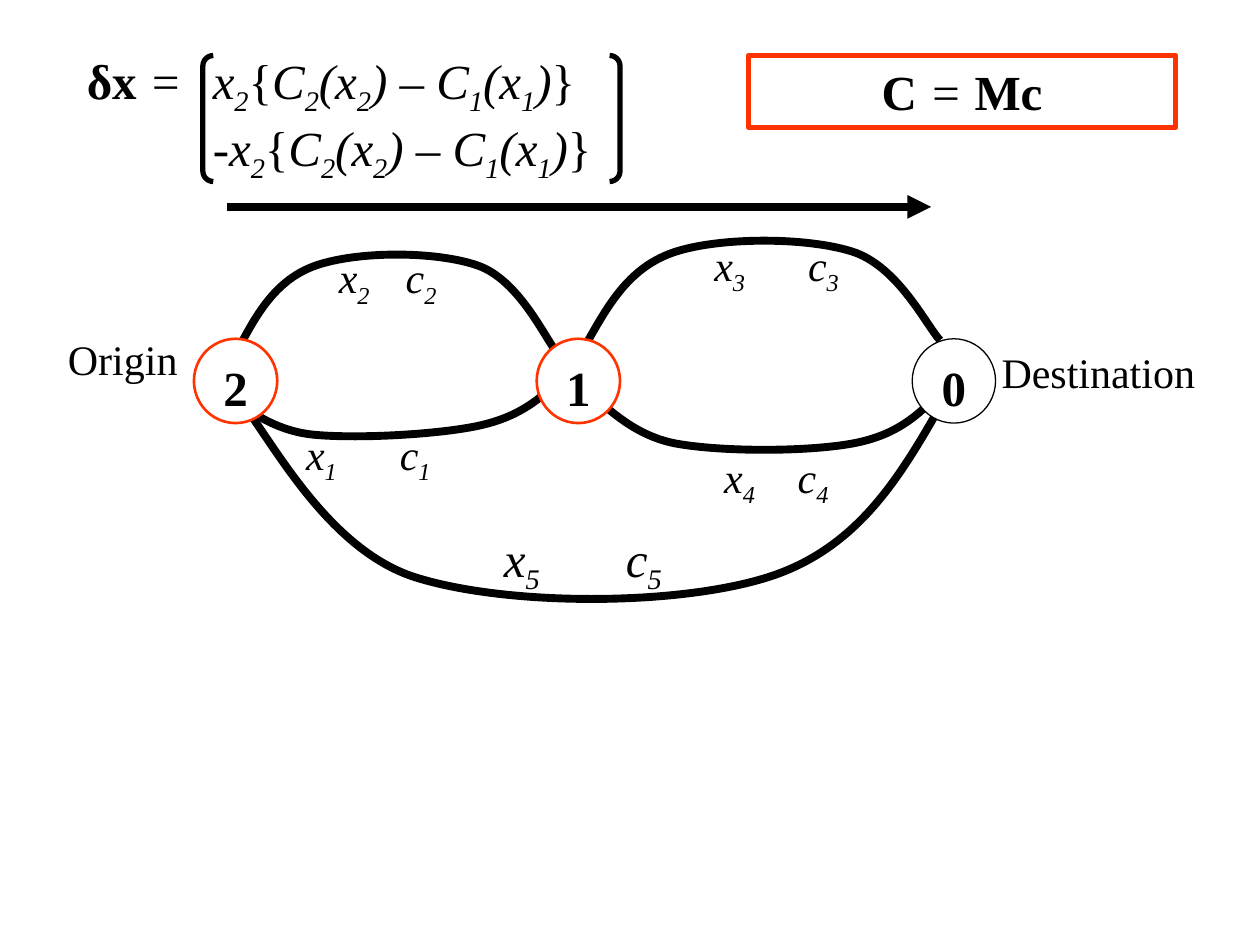
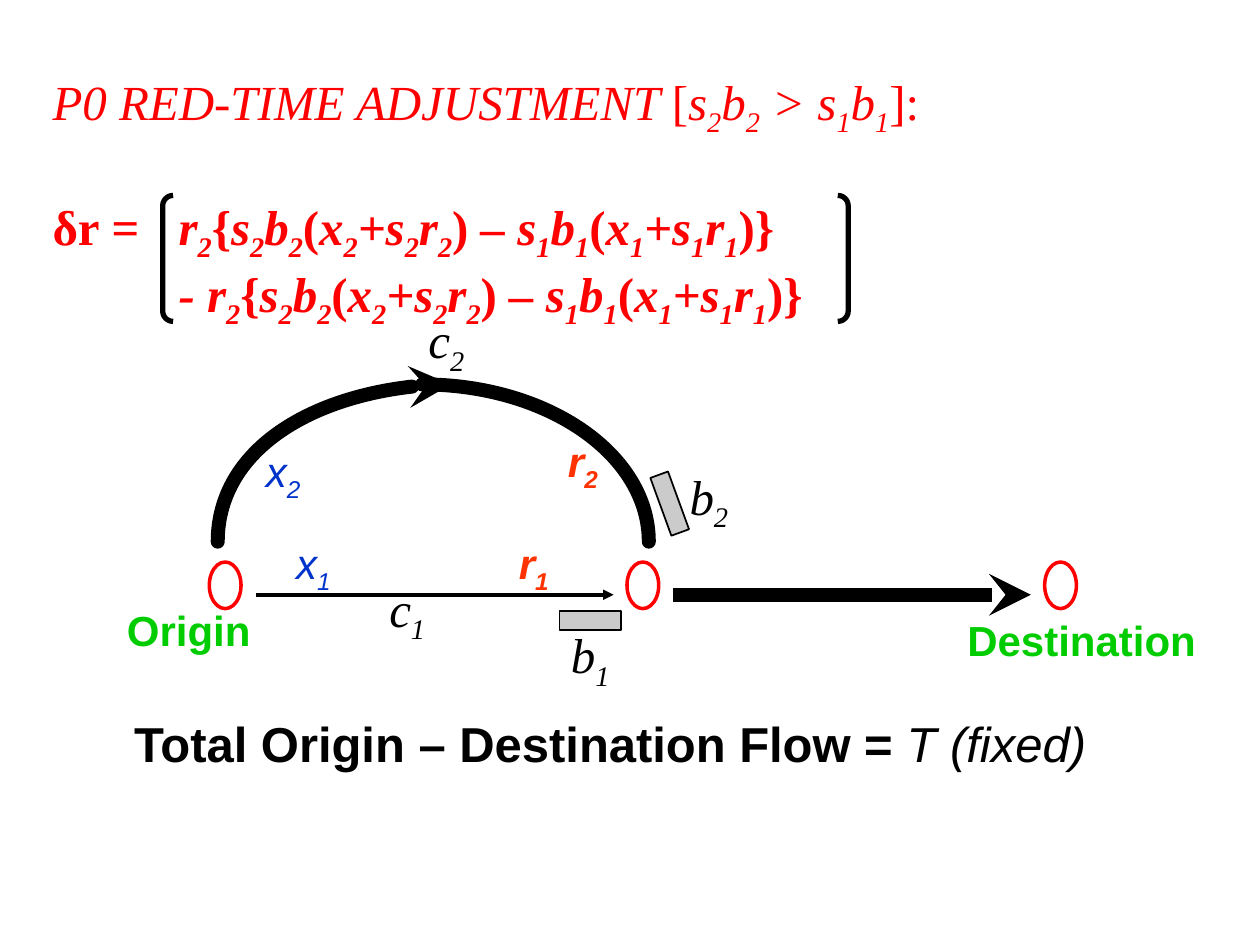
from lxml.etree import SubElement
from pptx import Presentation
from pptx.dml.color import RGBColor
from pptx.enum.shapes import MSO_CONNECTOR, MSO_SHAPE
from pptx.enum.text import MSO_ANCHOR, PP_ALIGN
from pptx.oxml.ns import qn
from pptx.util import Cm, Pt

BLACK = RGBColor(0x00, 0x00, 0x00)
WHITE = RGBColor(0xFF, 0xFF, 0xFF)
ORANGE = RGBColor(0xFF, 0x33, 0x00)
RED = RGBColor(0xFF, 0x00, 0x00)
GREEN = RGBColor(0x00, 0xCC, 0x00)
BLUE = RGBColor(0x00, 0x33, 0xCC)
GREY = RGBColor(0xCB, 0xCB, 0xCB)
SERIF, SANS = "Times New Roman", "Arial"
ROUTE = [(0, 0), (0.06, 0.36), (0.12, 0.72), (0.25, 0.86), (0.38, 1),
         (0.62, 1), (0.75, 0.86), (0.88, 0.72), (0.96, 0.15), (1, 0)]


class Deck:
    """Draws network diagrams and formulas on the current slide, in centimetres."""

    def __init__(self):
        self.prs = Presentation()
        self.prs.slide_width, self.prs.slide_height = Cm(25.4), Cm(19.05)
        self.s = None

    def new_slide(self):
        self.s = self.prs.slides.add_slide(self.prs.slide_layouts[6])

    def set_text(self, tf, paragraphs, size=28, font=SERIF, color=BLACK, bold=False,
                 italic=False, align=PP_ALIGN.LEFT, tab=None, wrap=True):
        """Fills a frame; ^ toggles bold, * toggles italic, _ lowers one character."""
        tf.word_wrap, tf.vertical_anchor = wrap, MSO_ANCHOR.TOP
        for i, text in enumerate(paragraphs):
            p = tf.paragraphs[0] if i == 0 else tf.add_paragraph()
            p.alignment = align
            if tab:
                tabs = SubElement(p._p.get_or_add_pPr(), qn("a:tabLst"))
                SubElement(tabs, qn("a:tab"), pos=str(Cm(tab)), algn="l")
            f = p.font
            f.name, f.size, f.bold, f.italic = font, Pt(size), bold, italic
            f.color.rgb = color
            for j, weight in enumerate(text.split("^")):
                for k, slant in enumerate(weight.split("*")):
                    flips = (j % 2 == 1, k % 2 == 1)
                    first, *lowered = slant.split("_")
                    self.add_run(p, first, flips, bold, italic)
                    for part in lowered:
                        self.add_run(p, part[0], flips, bold, italic, True)
                        self.add_run(p, part[1:], flips, bold, italic)
        return tf.paragraphs

    def add_run(self, p, text, flips, bold, italic, lowered=False):
        if not text:
            return
        r = p.add_run()
        r.text = text
        if flips[0]:
            r.font.bold = not bold
        if flips[1]:
            r.font.italic = not italic
        if lowered:
            r._r.get_or_add_rPr().set("baseline", "-25000")

    def text(self, x, y, w, h, *paragraphs, **style):
        sp = self.s.shapes.add_textbox(Cm(x), Cm(y), Cm(w), Cm(h))
        return self.set_text(sp.text_frame, paragraphs, **style)

    def stroke(self, sp, color, width, tail=None, cap=None):
        sp.line.color.rgb, sp.line.width = color, Pt(width)
        ln = sp.line._get_or_add_ln()
        if cap:
            ln.set("cap", cap)
        if tail:
            SubElement(ln, qn("a:tailEnd"), type=tail)

    def shape(self, kind, x, y, w, h, line, width, fill=None, label=None, rotation=0):
        sp = self.s.shapes.add_shape(kind, Cm(x), Cm(y), Cm(w), Cm(h))
        sp.shadow.inherit = False
        sp.rotation = rotation
        if fill is None:
            sp.fill.background()
        else:
            sp.fill.solid()
            sp.fill.fore_color.rgb = fill
        self.stroke(sp, line, width)
        if label:
            self.set_text(sp.text_frame, [label], align=PP_ALIGN.CENTER)
        return sp

    def brackets(self, left, right, y):
        for kind, x in ((MSO_SHAPE.LEFT_BRACKET, left), (MSO_SHAPE.RIGHT_BRACKET, right)):
            sp = self.shape(kind, x, y, 0.21, 2.54, BLACK, 3)
            sp.adjustments[0] = 1.0

    def arrow(self, x1, x2, y, width, tail):
        sp = self.s.shapes.add_connector(MSO_CONNECTOR.STRAIGHT, Cm(x1), Cm(y), Cm(x2), Cm(y))
        self.stroke(sp, BLACK, width, tail)
        SubElement(sp._element.spPr, qn("a:effectLst"))

    def curve(self, points, width, tail=None, cap=None):
        """Draws a Bézier chain: a start, then three points for each piece."""
        start, *rest = [(Cm(x), Cm(y)) for x, y in points]
        builder = self.s.shapes.build_freeform(*start)
        builder.add_line_segments(rest, close=False)
        sp = builder.convert_to_shape()
        outline = sp._element.find(".//" + qn("a:path"))
        segments = outline.findall(qn("a:lnTo"))
        for i in range(0, len(segments), 3):
            bezier = SubElement(outline, qn("a:cubicBezTo"))
            for segment in segments[i:i + 3]:
                bezier.append(segment[0])
                outline.remove(segment)
        sp.shadow.inherit = False
        sp.fill.background()
        self.stroke(sp, BLACK, width, tail, cap)

    def route(self, start, end, bulge):
        (x1, y1), (x2, y2) = start, end
        self.curve([(x1 + u * (x2 - x1), y1 + u * (y2 - y1) + v * bulge)
                    for u, v in ROUTE], 4.5)


def network_slide(d):
    d.new_slide()
    for start, end, bulge in (((4.75, 7.14), (11.25, 7.14), -2.08),
                              ((11.2, 7.75), (4.7, 8.08), 0.89),
                              ((18.95, 7.92), (11.86, 7.92), 1.19),
                              ((19.02, 8.08), (4.83, 8.08), 4.14),
                              ((11.86, 6.86), (18.95, 6.86), -2.08)):
        d.route(start, end, bulge)
    for n, x, y, w, h, tab, size in ((2, 6.58, 4.95, 4.72, 1.57, 1.35, 24),
                                     (1, 5.92, 8.51, 4.72, 1.57, 1.89, 24),
                                     (3, 14.15, 4.7, 4.72, 1.57, 1.89, 24),
                                     (4, 14.35, 8.97, 3.07, 1.57, 1.48, 24),
                                     (5, 9.91, 10.52, 5.79, 3.58, 2.46, 28)):
        d.text(x, y, w, h, f"x_{n}\tc_{n}", size=size, italic=True, tab=tab)
    d.arrow(4.57, 18.77, 4.17, 4.5, "triangle")
    for node, x, color, width in (("2", 3.91, ORANGE, 1.5), ("1", 10.82, ORANGE, 1.5),
                                  ("0", 18.39, BLACK, 0.75)):
        d.shape(MSO_SHAPE.OVAL, x, 6.83, 1.68, 1.7, color, width, WHITE, f"^{node}^")
    d.text(1.12, 6.6, 3.61, 2.36, "Origin", size=24)
    d.text(19.94, 6.86, 5.4, 1.45, "Destination", size=24)
    d.shape(MSO_SHAPE.RECTANGLE, 15.09, 1.12, 8.61, 1.45, ORANGE, 3, WHITE, "^C^* = *^Mc^")
    flow_swap = "x_2*{*C_2(x_2) – C_1(x_1)*}*"
    d.text(1.5, 0.89, 22.89, 2.95, "^*δx*^ = \t" + flow_swap, "\t-" + flow_swap,
           italic=True, tab=2.54)
    d.brackets(4.09, 12.29, 1.12)


def red_time_slide(d):
    d.new_slide()
    for i in range(3):
        d.shape(MSO_SHAPE.OVAL, 4.22 + 8.42 * i, 11.33, 0.64, 0.94, RED, 2)
    d.arrow(5.16, 12.37, 11.99, 2, "triangle")
    d.arrow(13.56, 20.78, 11.99, 8, "stealth")
    d.curve([(4.39, 10.92), (4.39, 9.17), (6.5, 7.75), (9.09, 7.75)], 8, "stealth", "rnd")
    d.curve([(8.51, 7.75), (11.05, 7.75), (13.08, 9.17), (13.08, 10.92)], 8, cap="rnd")
    for x, y, rotation in ((11.28, 12.32, 0), (12.88, 9.96, 250)):
        d.shape(MSO_SHAPE.RECTANGLE, x, y, 1.24, 0.38, BLACK, 1, GREY, rotation=rotation)
    for name, x, y, w in (("Origin", 2.31, 12.07, 3), ("Destination", 19.25, 12.27, 5.13)):
        d.text(x, y, w, 1.27, name, size=24, font=SANS, color=GREEN, bold=True, wrap=False)
    for name, x, y, color, bold in (("x_2", 5.11, 8.86, BLUE, False),
                                    ("x_1", 5.72, 10.72, BLUE, False),
                                    ("r_2", 11.2, 8.66, ORANGE, True),
                                    ("r_1", 10.21, 10.72, ORANGE, True)):
        d.text(x, y, 5.28, 1.42, name, size=24, font=SANS, color=color, bold=bold, italic=True)
    for name, x, y, w in (("b_2", 13.49, 9.27, 1.6), ("b_1", 11.1, 12.47, 1.6),
                          ("c_2", 6.1, 6.12, 5.8), ("c_1", 5.31, 11.53, 5.8)):
        d.text(x, y, w, 1.6, name, italic=True, align=PP_ALIGN.CENTER)
    d.text(2.29, 14.25, 20.02, 1.45, "^Total Origin – Destination Flow = ^*T (fixed)*",
           font=SANS, align=PP_ALIGN.CENTER)
    red_swap = "r_2*{*s_2b_2*(*x_2+s_2r_2*)* – s_1b_1*(*x_1+s_1r_1*)}*"
    _, *formula = d.text(0.81, 1.32, 18.01, 6.68,
                         "P0 RED-TIME ADJUSTMENT *[*s_2b_2 > s_1b_1*]:*",
                         "*δr *= \t" + red_swap, "\t- " + red_swap,
                         color=RED, italic=True, tab=2.54, wrap=False)
    for p in formula:
        p.font.bold = True
    formula[0].space_before = Pt(33)
    d.brackets(3.28, 16.89, 3.94)


def main():
    d = Deck()
    network_slide(d)
    red_time_slide(d)
    d.prs.save("out.pptx")


if __name__ == "__main__":
    main()
